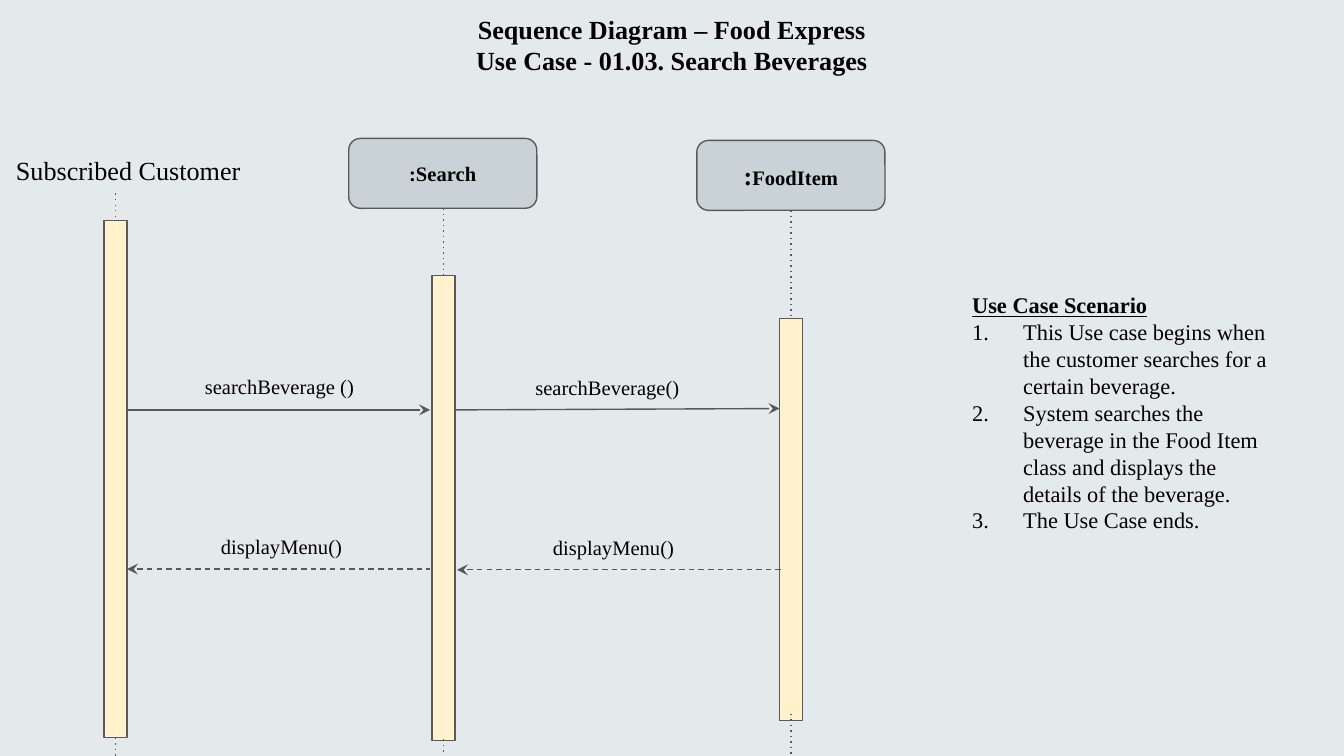
from dataclasses import dataclass
from typing import Optional

from lxml import etree
from pptx import Presentation
from pptx.dml.color import RGBColor
from pptx.enum.shapes import MSO_CONNECTOR, MSO_SHAPE
from pptx.enum.text import MSO_ANCHOR, MSO_AUTO_SIZE, PP_ALIGN
from pptx.oxml.ns import qn
from pptx.util import Inches, Pt

STRAIGHT = MSO_CONNECTOR.STRAIGHT
RECT, ROUND_RECT = MSO_SHAPE.RECTANGLE, MSO_SHAPE.ROUNDED_RECTANGLE
TOP, MIDDLE = MSO_ANCHOR.TOP, MSO_ANCHOR.MIDDLE
LEFT, CENTER = PP_ALIGN.LEFT, PP_ALIGN.CENTER

# The slide is a grid of 100 columns by 56.25 rows.
CELL = 0.1
COLS, ROWS = 100, 56.25
BAR_W = 1.7
BOX_W, BOX_H = 14, 5.2
LABEL_W, LABEL_H = 22.3, 3.3


@dataclass(frozen=True)
class Theme:
    """Colours and type sizes of the slide."""
    font: str = "Times New Roman"
    background: str = "E4E9EB"
    box: str = "C9D3D7"
    bar: str = "FFF2CC"
    line: str = "595959"
    text: str = "000000"
    title: int = 14
    note: int = 12
    label: int = 11
    line_width: float = 0.75


@dataclass(frozen=True)
class Run:
    """A piece of text with its size and style."""
    text: str
    size: int
    bold: bool = False
    underline: bool = False


@dataclass(frozen=True)
class Lifeline:
    """A participant: activation bar, dotted line and optional head box."""
    bar_x: float
    bar_top: float
    bar_bottom: float
    head_bottom: float
    tail_top: float
    tail_bottom: float
    box_x: float = 0
    name: tuple[Run, ...] = ()


@dataclass(frozen=True)
class Message:
    """An arrow between two bars with its label."""
    text: str
    label: tuple[float, float]
    start: tuple[float, float]
    end: tuple[float, float]
    reply: bool = False


T = Theme()
LIFELINES = (
    Lifeline(7.75, 16.4, 54.9, 14.4, 54.9, 56.7),
    Lifeline(32.15, 20.5, 55.1, 15.5, 55, 56.2, 25.95, (Run(":Search", T.label, True),)),
    Lifeline(58, 23.7, 53.6, 15.65, 53.1, 57.1, 51.85,
             (Run(":", T.title, True), Run("FoodItem", T.label, True))),
)
MESSAGES = (
    Message("searchBeverage ()", (9.65, 27.1), (9.45, 30.5), (32, 30.5)),
    Message("searchBeverage()", (34.05, 27.2), (33.85, 30.5), (58, 30.4)),
    Message("displayMenu()", (9.8, 39), (9.45, 42.35), (32, 42.35), True),
    Message("displayMenu()", (34.5, 39.05), (34, 42.4), (58.1, 42.4), True),
)
SCENARIO = (
    "This Use case begins when the customer searches for a certain beverage.",
    "System searches the beverage in the Food Item class and displays the details of the beverage.",
    "The Use Case ends.",
)


def cells(*values: float) -> list[int]:
    """Turn grid cells into lengths."""
    return [Inches(v * CELL) for v in values]


def color(value: str) -> RGBColor:
    """Turn a hex string into a colour."""
    return RGBColor.from_string(value)


def write(s, paragraphs, *, align=CENTER, anchor=TOP, inset_y: float = 1):
    """Fill a shape with paragraphs of runs and return its text frame."""
    tf = s.text_frame
    tf.word_wrap = True
    tf.vertical_anchor = anchor
    tf.margin_left, tf.margin_right = cells(1, 1)
    tf.margin_top, tf.margin_bottom = cells(inset_y, inset_y)
    for i, runs in enumerate(paragraphs):
        p = tf.paragraphs[0] if i == 0 else tf.add_paragraph()
        p.alignment = align
        for run in runs:
            r = p.add_run()
            r.text = run.text
            r.font.name, r.font.size = T.font, Pt(run.size)
            r.font.bold, r.font.underline = run.bold, run.underline
            r.font.color.rgb = color(T.text)
    return tf


def add_text(slide, at, paragraphs, **fmt):
    """Add a text box at left, top, width, height."""
    return write(slide.shapes.add_textbox(*cells(*at)), paragraphs, **fmt)


def add_block(slide, kind, at, fill: str):
    """Add a filled and outlined shape."""
    s = slide.shapes.add_shape(kind, *cells(*at))
    s.shadow.inherit = False
    s.fill.solid()
    s.fill.fore_color.rgb = color(fill)
    s.line.color.rgb = color(T.line)
    s.line.width = Pt(T.line_width)
    return s


def add_line(slide, start, end, *, dash: str = "solid", arrow: Optional[str] = None) -> None:
    """Add a line; arrow is headEnd (at start) or tailEnd (at end)."""
    s = slide.shapes.add_connector(STRAIGHT, *cells(*start, *end))
    s.line.color.rgb = color(T.line)
    s.line.width = Pt(T.line_width)
    ln = s.line._get_or_add_ln()
    etree.SubElement(ln, qn("a:prstDash"), val=dash)
    if arrow:
        etree.SubElement(ln, qn(f"a:{arrow}"), type="stealth", w="med", len="med")
    etree.SubElement(s._element.spPr, qn("a:effectLst"))


def add_lifeline(slide, life: Lifeline) -> None:
    """Draw a participant from head to foot."""
    x = life.bar_x + BAR_W / 2
    add_block(slide, RECT, (life.bar_x, life.bar_top, BAR_W, life.bar_bottom - life.bar_top), T.bar)
    if life.name:
        box = add_block(slide, ROUND_RECT,
                        (life.box_x, life.head_bottom - BOX_H, BOX_W, BOX_H), T.box)
        write(box, [life.name], anchor=MIDDLE)
    add_line(slide, (x, life.head_bottom), (x, life.bar_top), dash="dot")
    add_line(slide, (x, life.tail_top), (x, life.tail_bottom), dash="dot")


def add_message(slide, m: Message) -> None:
    """Draw a call or a dashed reply with its label."""
    add_line(slide, m.start, m.end, dash="dash" if m.reply else "solid",
             arrow="headEnd" if m.reply else "tailEnd")
    add_text(slide, (*m.label, LABEL_W, LABEL_H), [[Run(m.text, T.label)]], anchor=MIDDLE)


def number(p) -> None:
    """Give a paragraph a hanging number."""
    pPr = p._p.get_or_add_pPr()
    indent = Inches(0.38)
    pPr.set("marL", str(indent))
    pPr.set("indent", str(-indent))
    clr = etree.SubElement(pPr, qn("a:buClr"))
    etree.SubElement(clr, qn("a:srgbClr"), val=T.text)
    etree.SubElement(pPr, qn("a:buFont"), typeface=T.font)
    etree.SubElement(pPr, qn("a:buAutoNum"), type="arabicPeriod")


def main() -> None:
    """Build the slide."""
    prs = Presentation()
    prs.slide_width, prs.slide_height = cells(COLS, ROWS)
    slide = prs.slides.add_slide(prs.slide_layouts[6])
    slide.background.fill.solid()
    slide.background.fill.fore_color.rgb = color(T.background)

    title = ("Sequence Diagram – Food Express", "Use Case - 01.03. Search Beverages")
    add_text(slide, (0, 0, COLS, 6.1), [[Run(t, T.title, True)] for t in title])
    for life in LIFELINES:
        add_lifeline(slide, life)
    for message in MESSAGES:
        add_message(slide, message)
    add_text(slide, (-0.8, 10.5, 20.7, 3.3), [[Run("Subscribed Customer", T.title)]])

    heading = [Run("Use Case Scenario", T.note, True, True)]
    steps = [[Run(t, T.note)] for t in SCENARIO]
    tf = add_text(slide, (71.35, 21.2, 24.8, 19.2), [heading, *steps], align=LEFT, inset_y=0.5)
    tf.auto_size = MSO_AUTO_SIZE.SHAPE_TO_FIT_TEXT
    for p in tf.paragraphs[1:]:
        number(p)
    prs.save("out.pptx")


main()
